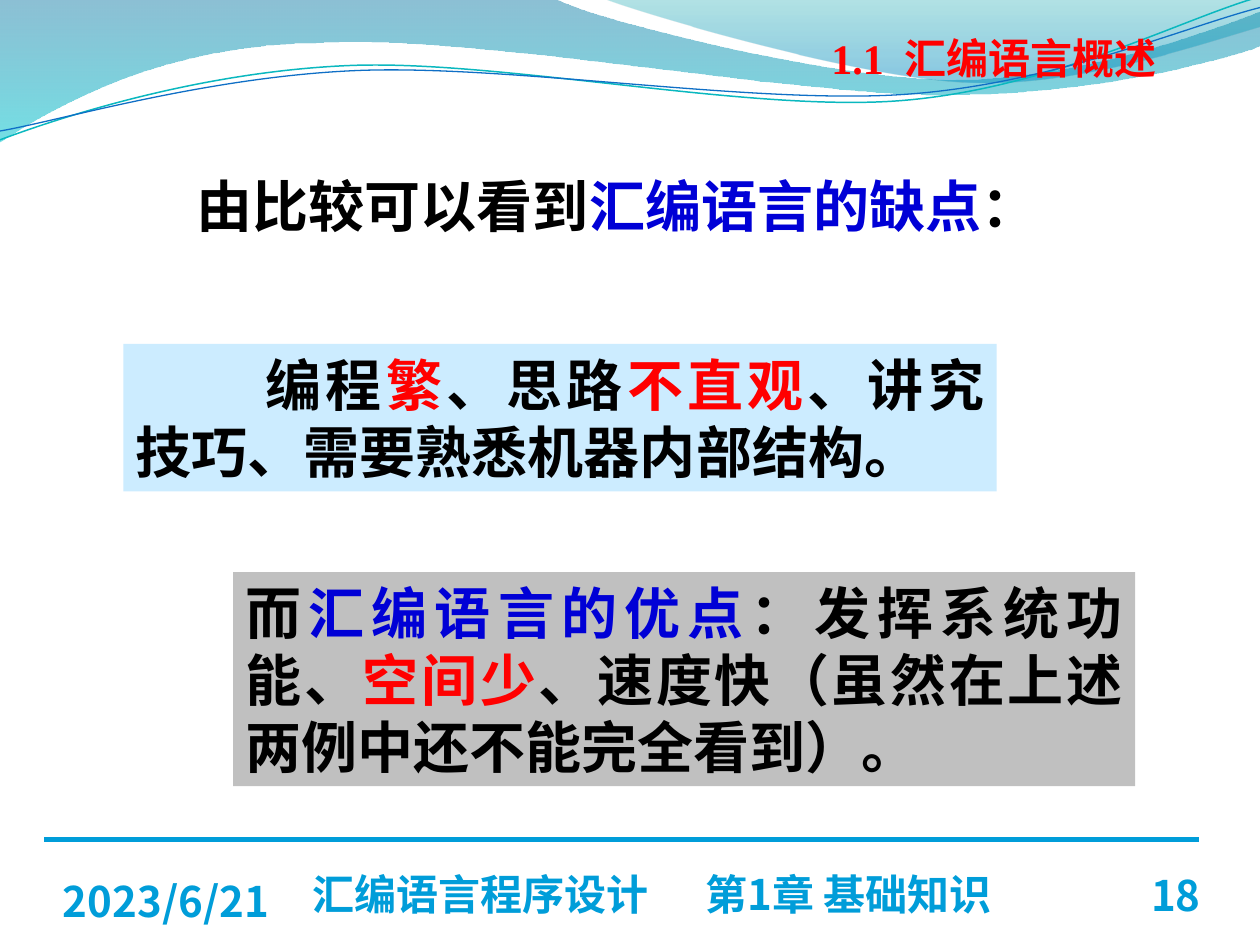
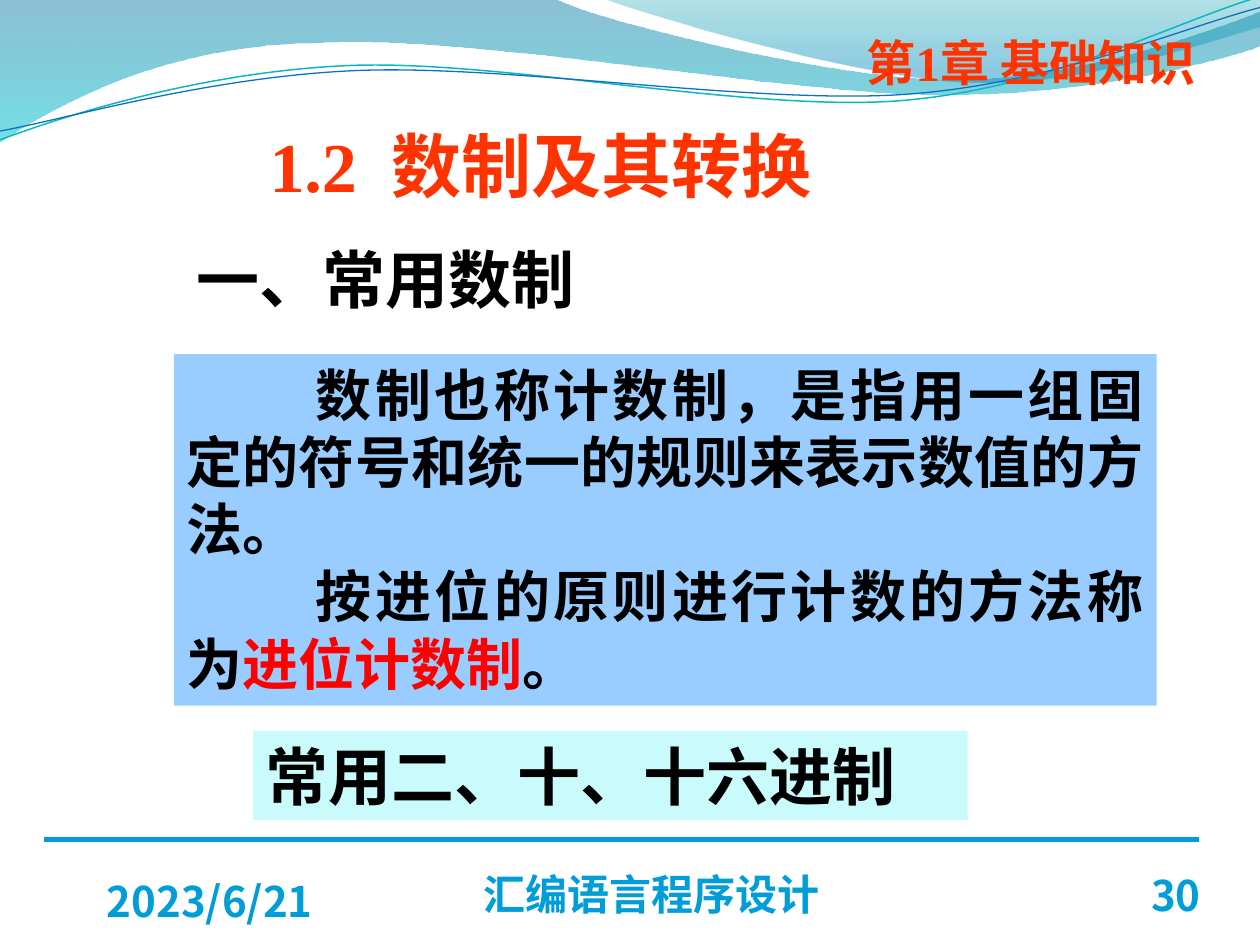
from math import cos, radians, sin

from lxml import etree
from pptx import Presentation
from pptx.dml.color import RGBColor
from pptx.enum.shapes import MSO_CONNECTOR, MSO_SHAPE
from pptx.enum.text import MSO_ANCHOR, MSO_AUTO_SIZE, PP_ALIGN
from pptx.oxml.ns import qn
from pptx.util import Emu, Inches, Pt

LEFT, CENTER, RIGHT, JUSTIFY = (PP_ALIGN.LEFT, PP_ALIGN.CENTER,
                                PP_ALIGN.RIGHT, PP_ALIGN.JUSTIFY)
TOP, MIDDLE, BOTTOM = MSO_ANCHOR.TOP, MSO_ANCHOR.MIDDLE, MSO_ANCHOR.BOTTOM
RECTANGLE, STRAIGHT = MSO_SHAPE.RECTANGLE, MSO_CONNECTOR.STRAIGHT
TITLE_ONLY = 5

SLIDE_W, SLIDE_H = Inches(10), Inches(7.5)
CELL = SLIDE_W / 10  # the slide is a grid of 10 columns by 7.5 rows
SLIDE_BOX = (0, 0, 10, 7.5)
FOOTER_BOX = (0.35, 6.66, 9.17, 0.7)

BLACK, RED, BLUE = "000000", "FF0000", "0000D6"
ORANGE, SKY = "FF3300", "009DD9"
SERIF, SANS, FOOTER_FONT = "Times New Roman", "Noto Sans CJK SC", "Noto Sans CJK JP"
LINE_HEIGHT = 1.2
FIRST_LINE = 1.03

# Waves: start point, then line ends (2 numbers) or Bezier curves (6 numbers)
BAND_LEFT = [(0, -0.01), (4.4, -0.01), (4.76, 0.17, 6.64, 0.63, 7.58, 0.63),
             (8.53, 0.63, 9.58, 0.26, 10, 0.09), (10.01, 0.36),
             (9.83, 0.44, 8.7, 0.76, 7.46, 0.75),
             (6.22, 0.75, 3.82, 0.28, 2.57, 0.34),
             (1.29, 0.35, 0.46, 0.83, -0.01, 1.13)]
BAND_RIGHT = [(4.79, -0.01), (5.09, 0.11, 6.82, 0.62, 7.69, 0.65),
              (8.56, 0.69, 9.61, 0.32, 10, 0.21), (10, 0)]
BANDS = [(BAND_LEFT, [(0, "0074A1", 45), (100, "00C6CF", 55)]),
         (BAND_RIGHT, [(0, "00A1A9", 30), (80, "008BBF", 45)])]
CURVES = [([(0, 1.11), (0.48, 0.93, 1.58, 0.57, 2.77, 0.52),
            (3.95, 0.47, 5.93, 0.89, 7.13, 0.8),
            (8.33, 0.71, 9.38, 0.15, 9.98, -0.02)], "0AB8BF", 0.85),
          ([(0, 1.04), (0.47, 0.96, 1.64, 0.61, 2.83, 0.56),
            (4.03, 0.51, 5.97, 0.83, 7.17, 0.75),
            (8.36, 0.67, 9.41, 0.21, 10, 0.06)], "0F6FC6", 0.75)]
CURVE_TILT = 2.7
CURVE_CENTER = (4.99, 0.58)


def rgb(color):
    return RGBColor.from_string(color)


def emu(*cells):
    return [Emu(round(c * CELL)) for c in cells]


def within(box, x, y, w, h):
    return box[0] + x, box[1] + y, w, h


def turn(x, y, degrees):
    """Turn a point clockwise about the centre of the curves."""
    cx, cy = CURVE_CENTER
    c, k = cos(radians(degrees)), sin(radians(degrees))
    return cx + (x - cx) * c - (y - cy) * k, cy + (x - cx) * k + (y - cy) * c


def add_outline(s, box, path, close, tilt=0):
    """Draw a path, tilted counter-clockwise by the shape's rotation."""
    points = [turn(x, y, tilt) for seg in path for x, y in zip(seg[::2], seg[1::2])]
    points = [emu(box[0] + x, box[1] + y) for x, y in points]
    builder = s.shapes.build_freeform(*points[0])
    builder.add_line_segments(points[1:], close=close)
    sp = builder.convert_to_shape()
    sp.shadow.inherit = False
    sp.rotation = -tilt % 360
    lines = iter(list(sp._element.iter(qn("a:lnTo"))))
    for seg in path[1:]:
        first = next(lines)
        if len(seg) == 6:
            first.tag = qn("a:cubicBezTo")
            for _ in range(2):
                extra = next(lines)
                first.append(extra[0])
                extra.getparent().remove(extra)
    return sp


def fill_gradient(sp, stops):
    """Fill from top to bottom with (position, colour, opacity) stops."""
    sp.fill.background()
    no_fill = sp._element.spPr.find(qn("a:noFill"))
    grad = etree.Element(qn("a:gradFill"), rotWithShape="1")
    stop_list = etree.SubElement(grad, qn("a:gsLst"))
    for pos, color, opacity in stops:
        stop = etree.SubElement(stop_list, qn("a:gs"), pos=str(pos * 1000))
        clr = etree.SubElement(stop, qn("a:srgbClr"), val=color)
        etree.SubElement(clr, qn("a:alpha"), val=str(opacity * 1000))
    etree.SubElement(grad, qn("a:lin"), ang="5400000", scaled="0")
    no_fill.getparent().replace(no_fill, grad)


def master_waves(prs, s, box):
    """Draw the waves on a slide, then move them to the master for all slides."""
    shapes = []
    for path, stops in BANDS:
        sp = add_outline(s, box, path, True)
        fill_gradient(sp, stops)
        sp.line.fill.background()
        shapes.append(sp)
    for path, color, width in CURVES:
        sp = add_outline(s, box, path, False, CURVE_TILT)
        sp.fill.background()
        sp.line.color.rgb, sp.line.width = rgb(color), Pt(width)
        shapes.append(sp)
    tree = prs.slide_master.shapes.element
    for i, sp in enumerate(shapes):
        sp._element.nvSpPr.cNvPr.set("id", str(100 + i))
        tree.insert(2 + i, sp._element)


def add_run(p, text, color, size, font, tracking=0):
    r = p.add_run()
    r.text = text
    r.font.color.rgb = rgb(color)
    for name, value in dict(size=Pt(size), bold=True, name=font).items():
        setattr(r.font, name, value)
    rPr = r._r.get_or_add_rPr()
    etree.SubElement(rPr, qn("a:ea"), typeface=SANS if font == SERIF else font)
    if tracking:
        rPr.set("spc", str(tracking * 100))


def write(sp, paragraphs, size, font=SERIF, align=LEFT, anchor=TOP,
          insets=(0.1, 0.05, 0.1, 0.05), indent=0):
    """Fill a shape with paragraphs of (text, colour[, tracking]) runs."""
    tf = sp.text_frame
    sides = ("margin_left", "margin_top", "margin_right", "margin_bottom")
    frame = dict(zip(sides, emu(*insets)), word_wrap=True,
                 auto_size=MSO_AUTO_SIZE.NONE, vertical_anchor=anchor)
    for name, value in frame.items():
        setattr(tf, name, value)
    for i, runs in enumerate(paragraphs):
        p = tf.add_paragraph() if i else tf.paragraphs[0]
        pPr = p._p.get_or_add_pPr()
        for name, value in dict(marL=0, indent=emu(indent)[0], hangingPunct=0).items():
            pPr.set(name, str(value))
        spacing = dict(alignment=align, line_spacing=Pt(size * LINE_HEIGHT),
                       space_before=Pt(0))
        for name, value in spacing.items():
            setattr(p, name, value)
        for text, color, *tracking in runs:
            add_run(p, text, color, size, font, *tracking)


def gapped(first, second, color, gap):
    """Runs for two texts with a space widened by gap points between them."""
    return [(first, color), (" ", color, gap), (second, color)]


def label(s, box, runs, size, **style):
    write(s.shapes.add_textbox(*emu(*box)), [runs], size, **style)


def panel(s, box, fill, paragraphs, size, **style):
    sp = s.shapes.add_shape(RECTANGLE, *emu(*box))
    sp.shadow.inherit = False
    sp.fill.solid()
    sp.fill.fore_color.rgb = rgb(fill)
    sp.line.fill.background()
    write(sp, paragraphs, size, **style)


def title(s, box, runs, size, **style):
    sp = s.shapes.title
    sp.left, sp.top, sp.width, sp.height = emu(*box)
    write(sp, [runs], size, **style)


def footer(s, box, number, course, course_w, align):
    x, y, w, h = box
    rule = s.shapes.add_connector(STRAIGHT, *emu(x, y, x + w, y))
    rule.line.color.rgb, rule.line.width = rgb(SKY), Pt(3)
    etree.SubElement(rule._element.spPr, qn("a:effectLst"))
    parts = [([("2023/6/21", SKY)], (0.15, 0.29, 2.33, 0.4), align),
             (course, (2.13, 0.24, course_w, 0.39), align),
             ([(number, SKY)], (w - 0.82, 0.24, 0.83, 0.4), RIGHT)]
    for runs, part, part_align in parts:
        label(s, within(box, *part), runs, 24, font=FOOTER_FONT,
              align=part_align, anchor=BOTTOM, insets=(0, 0, 0, 0))


def pros_and_cons_slide(prs, s):
    title(s, (1.46, 1.31, 7.32, 0.63),
          [("由比较可以看到", BLACK), ("汇编语言的缺点", BLUE), ("：", BLACK)], 32)
    panel(s, (0.98, 2.73, 6.93, 1.17), "CCECFF",
          [[("编程", BLACK), ("繁", RED), ("、思路", BLACK), ("不直观", RED),
            ("、讲究技巧、需要熟悉机器内部结构。", BLACK)]],
          32, align=JUSTIFY, indent=FIRST_LINE)
    label(s, (6.5, 0.21, 3.15, 0.5), gapped("1.1", "汇编语言概述", RED, 6), 24)
    panel(s, (1.85, 4.54, 7.16, 1.7), "C0C0C0",
          [[("而", BLACK), ("汇编语言的优点", BLUE), ("：发挥系统功能、", BLACK),
            ("空间少", RED), ("、速度快（虽然在上述两例中还不能完全看到）。", BLACK)]],
          32, align=JUSTIFY)
    footer(s, FOOTER_BOX, "18",
           gapped("汇编语言程序设计", "第1章 基础知识", SKY, 27), 5.83, LEFT)


def number_systems_slide(prs, s):
    label(s, (6.65, 0.21, 3.07, 0.57), [("第1章 基础知识", ORANGE)], 28, align=CENTER)
    title(s, (1.3, 0.68, 5.98, 1.25), gapped("1.2", "数制及其转换", ORANGE, 10), 40,
          align=CENTER, anchor=MIDDLE)
    label(s, (1.46, 1.86, 5.35, 0.71), [("一、常用数制", BLACK)], 36, font=SANS)
    panel(s, (1.38, 2.81, 7.8, 2.79), "99CCFF",
          [[("数制也称计数制，是指用一组固定的符号和统一的规则来表示数值的方法。", BLACK)],
           [("按进位的原则进行计数的方法称为", BLACK), ("进位计数制", RED), ("。", BLACK)]],
          32, font=SANS, align=JUSTIFY, indent=FIRST_LINE)
    panel(s, (2.01, 5.8, 5.67, 0.71), "C9FAFC",
          [[("常用二、十、十六进制", BLACK)]], 36, font=SANS)
    footer(s, FOOTER_BOX, "30", [("汇编语言程序设计", SKY)], 5.38, CENTER)


def main():
    prs = Presentation()
    prs.slide_width, prs.slide_height = SLIDE_W, SLIDE_H
    layout = prs.slide_layouts[TITLE_ONLY]
    slides = [prs.slides.add_slide(layout) for _ in range(2)]
    master_waves(prs, slides[0], SLIDE_BOX)
    pros_and_cons_slide(prs, slides[0])
    number_systems_slide(prs, slides[1])
    prs.save("out.pptx")


if __name__ == "__main__":
    main()
